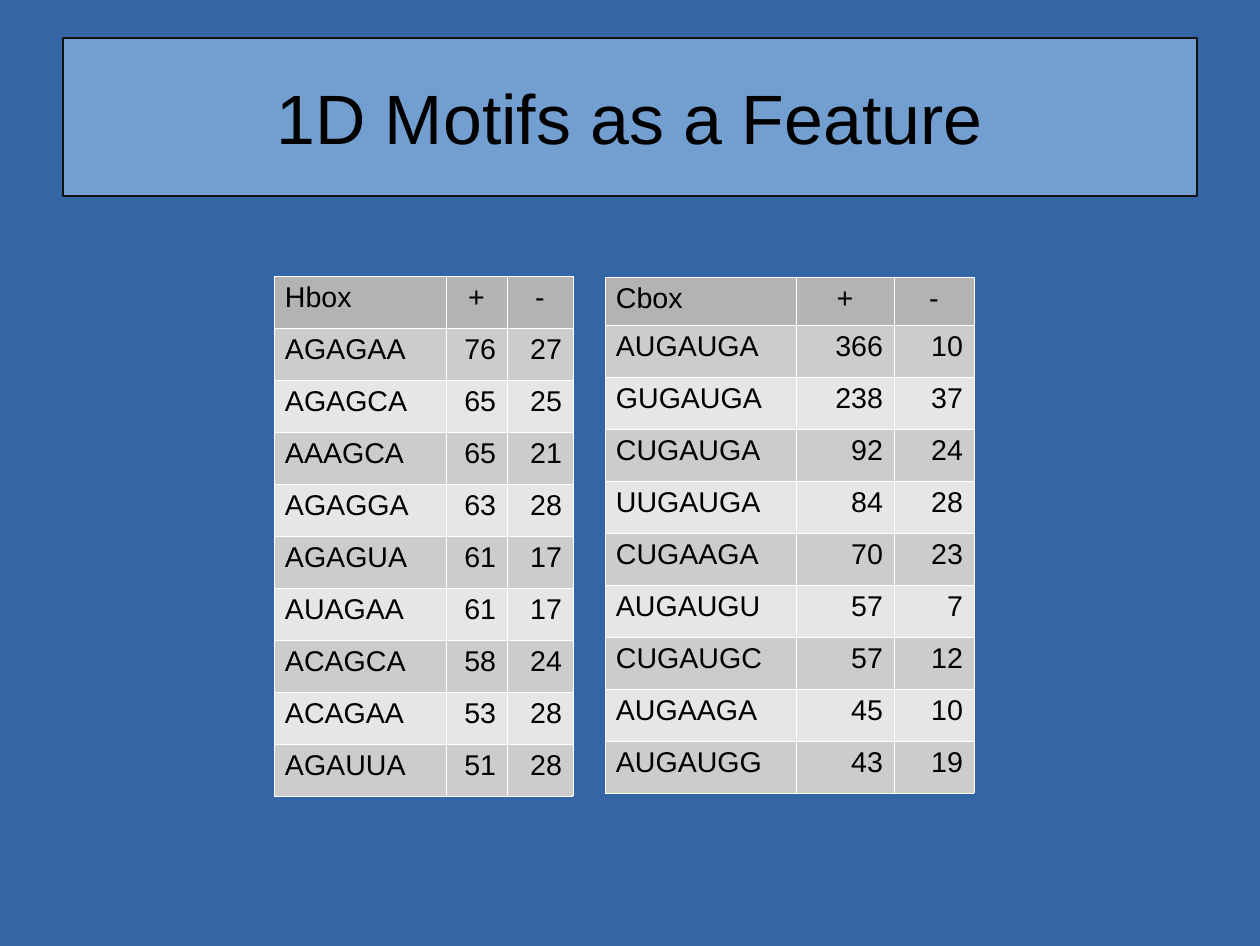
"""Build the slide that compares Hbox and Cbox motif counts."""
from lxml.etree import SubElement
from pptx import Presentation
from pptx.dml.color import RGBColor as RGB
from pptx.enum.text import MSO_ANCHOR as ANCHOR, MSO_AUTO_SIZE as FIT, PP_ALIGN as ALIGN
from pptx.oxml.ns import qn
from pptx.util import Pt

PX = 8000
COLORS = {
    "background": "3465A4",
    "banner": "729FCF",
    "outline": "111111",
    "text": "000000",
    "header": "B3B3B3",
    "odd": "CCCCCC",
    "even": "E6E6E6",
    "border": "FFFFFF",
}
HBOX = [
    ("Hbox", "+", "-"),
    ("AGAGAA", 76, 27),
    ("AGAGCA", 65, 25),
    ("AAAGCA", 65, 21),
    ("AGAGGA", 63, 28),
    ("AGAGUA", 61, 17),
    ("AUAGAA", 61, 17),
    ("ACAGCA", 58, 24),
    ("ACAGAA", 53, 28),
    ("AGAUUA", 51, 28),
]
CBOX = [
    ("Cbox", "+", "-"),
    ("AUGAUGA", 366, 10),
    ("GUGAUGA", 238, 37),
    ("CUGAUGA", 92, 24),
    ("UUGAUGA", 84, 28),
    ("CUGAAGA", 70, 23),
    ("AUGAUGU", 57, 7),
    ("CUGAUGC", 57, 12),
    ("AUGAAGA", 45, 10),
    ("AUGAUGG", 43, 19),
]


def px(*values):
    return [v * PX for v in values]


def paint(fill, name):
    fill.solid()
    fill.fore_color.rgb = RGB.from_string(COLORS[name])


def write(tf, text, size=18, align=ALIGN.LEFT, color="text", font="Arial"):
    p = tf.paragraphs[0]
    p.alignment = align
    r = p.add_run()
    r.text = text
    r.font.size = Pt(size)
    r.font.name = font
    r.font.color.rgb = RGB.from_string(COLORS[color])


def add_title(slide, text, box):
    sp = slide.shapes.title
    sp.left, sp.top, sp.width, sp.height = px(*box)
    paint(sp.fill, "banner")
    paint(sp.line.fill, "outline")
    sp.line.width = Pt(0.75)
    tf = sp.text_frame
    tf.margin_left = tf.margin_right = tf.margin_top = tf.margin_bottom = 0
    tf.auto_size = FIT.NONE
    tf.vertical_anchor = ANCHOR.MIDDLE
    write(tf, text, size=44, align=ALIGN.CENTER)


def add_borders(cell, width=0.06):
    props = cell._tc.get_or_add_tcPr()
    for side in ("lnL", "lnR", "lnT", "lnB"):
        ln = SubElement(props, qn(f"a:{side}"), w=str(Pt(width)))
        fill = SubElement(ln, qn("a:solidFill"))
        SubElement(fill, qn("a:srgbClr"), val=COLORS["border"])


def style_cell(cell, value, row, col):
    add_borders(cell)
    band = "odd" if row % 2 else "even"
    paint(cell.fill, band if row else "header")
    cell.margin_left, cell.margin_right = px(11, 11)
    cell.margin_top, cell.margin_bottom = px(6, 6)
    number_align = ALIGN.RIGHT if row else ALIGN.CENTER
    write(cell.text_frame, str(value), align=number_align if col else ALIGN.LEFT)


def add_motif_table(slide, data, left, top, widths, header_height, row_height=52):
    heights = [header_height] + [row_height] * (len(data) - 1)
    box = px(left, top, sum(widths), sum(heights))
    table = slide.shapes.add_table(len(data), len(widths), *box).table
    for column, width in zip(table.columns, px(*widths)):
        column.width = width
    for row, height in zip(table.rows, px(*heights)):
        row.height = height
    for i, values in enumerate(data):
        for j, value in enumerate(values):
            style_cell(table.cell(i, j), value, i, j)


def main():
    prs = Presentation()
    prs.slide_width, prs.slide_height = px(1260, 946)
    slide = prs.slides.add_slide(prs.slide_layouts[5])
    paint(slide.background.fill, "background")
    add_title(slide, "1D Motifs as a Feature", (63, 38, 1134, 158))
    add_motif_table(slide, HBOX, 274, 276, (172, 61, 66), 52)
    add_motif_table(slide, CBOX, 605, 277, (191, 98, 80), 48)
    prs.save("out.pptx")


if __name__ == "__main__":
    main()
